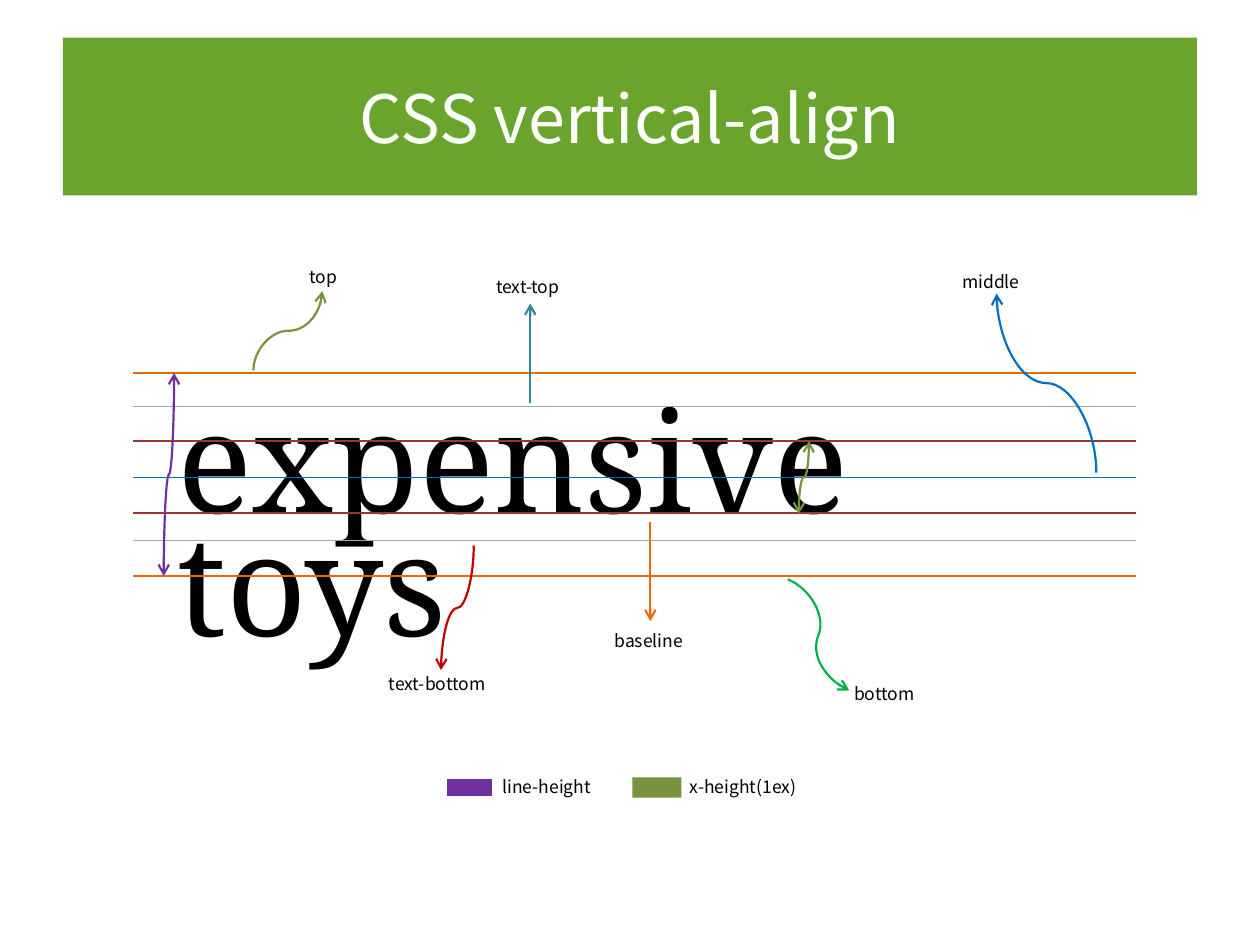
import math
from dataclasses import dataclass

from lxml import etree
from pptx import Presentation
from pptx import util as u
from pptx.dml import color
from pptx.enum import shapes, text
from pptx.oxml import ns

COLORS = {
    "banner": "6BA42C", "white": "FFFFFF", "black": "000000",
    "orange": "E46C0A", "grey": "A6A6A6", "blue": "0070C0",
    "maroon": "953735", "olive": "77933C", "green": "00B050",
    "red": "C00000", "teal": "31859C", "purple": "7030A0",
}
SANS, SERIF = "Noto Sans CJK SC", "Noto Serif"
LABEL_HEIGHT = 0.69
GUIDE_LEFT, GUIDE_RIGHT = 2.69, 22.91


@dataclass
class Guide:
    y: float
    hue: str


@dataclass
class Label:
    words: str
    left: float
    top: float
    width: float


@dataclass
class Arrow:
    start: tuple[float, float]
    end: tuple[float, float]
    hue: str
    turn: int = 0  # degrees; 0 means a straight arrow
    both_ends: bool = False


@dataclass
class LegendEntry:
    words: str
    left: float
    width: float
    hue: str
    outlined: bool = False


def rgb(hue: str) -> color.RGBColor:
    return color.RGBColor.from_string(COLORS[hue])


def add_words(paragraph, words: str, size: float, font: str, hue: str) -> None:
    run = paragraph.add_run()
    run.text = words
    run.font.size = u.Pt(size)
    run.font.name = font
    run.font.color.rgb = rgb(hue)


def add_block(parent, left: float, top: float, width: float, height: float, hue: str):
    block = parent.add_shape(shapes.MSO_SHAPE.RECTANGLE,
                             u.Cm(left), u.Cm(top), u.Cm(width), u.Cm(height))
    block.shadow.inherit = False
    block.fill.solid()
    block.fill.fore_color.rgb = rgb(hue)
    block.line.fill.background()
    return block


def add_label(parent, label: Label) -> None:
    box = parent.add_textbox(u.Cm(label.left), u.Cm(label.top),
                             u.Cm(label.width), u.Cm(LABEL_HEIGHT))
    box.text_frame.word_wrap = False
    box.text_frame.auto_size = text.MSO_AUTO_SIZE.SHAPE_TO_FIT_TEXT
    add_words(box.text_frame.paragraphs[0], label.words, 10, SANS, "black")


def add_line(parent, kind, left: float, top: float, right: float, bottom: float,
             hue: str, weight: float):
    line = parent.add_connector(kind, u.Cm(left), u.Cm(top), u.Cm(right), u.Cm(bottom))
    line.line.color.rgb = rgb(hue)
    line.line.width = u.Pt(weight)
    etree.SubElement(line._element.spPr, ns.qn("a:effectLst"))
    return line


def add_arrow(parent, arrow: Arrow) -> None:
    (x1, y1), (x2, y2) = arrow.start, arrow.end
    # Span of the arrow, measured along its own turned axes
    angle = math.radians(arrow.turn)
    along = (x2 - x1) * math.cos(angle) + (y2 - y1) * math.sin(angle)
    across = (y2 - y1) * math.cos(angle) - (x2 - x1) * math.sin(angle)
    mid_x, mid_y = (x1 + x2) / 2, (y1 + y2) / 2
    half_w, half_h = abs(along) / 2, abs(across) / 2
    kind = shapes.MSO_CONNECTOR.CURVE if arrow.turn else shapes.MSO_CONNECTOR.STRAIGHT
    line = add_line(parent, kind, mid_x - half_w, mid_y - half_h,
                    mid_x + half_w, mid_y + half_h, arrow.hue, 1.25)
    frame = line._element.spPr.find(ns.qn("a:xfrm"))
    if arrow.turn:
        frame.set("rot", str(arrow.turn * 60000))
    for flip, span in (("flipH", along), ("flipV", across)):
        if span < -0.001:
            frame.set(flip, "1")
    stroke = line._element.spPr.find(ns.qn("a:ln"))
    for end in ("a:headEnd", "a:tailEnd") if arrow.both_ends else ("a:tailEnd",):
        etree.SubElement(stroke, ns.qn(end)).set("type", "arrow")


GUIDES = [
    Guide(7.52, "orange"), Guide(8.2, "grey"), Guide(8.89, "maroon"),
    Guide(9.63, "blue"), Guide(10.34, "maroon"), Guide(10.9, "grey"),
    Guide(11.61, "orange"),
]
LABELS = [
    Label("top", 5.99, 5.23, 1.09), Label("text-top", 9.75, 5.44, 1.9),
    Label("middle", 19.15, 5.33, 1.68), Label("baseline", 12.14, 12.57, 1.9),
    Label("text-bottom", 7.59, 13.44, 2.67), Label("bottom", 16.97, 13.64, 1.8),
]
ARROWS = [
    Arrow((22.1, 9.53), (20.09, 5.92), "blue", 270),
    Arrow((15.88, 11.68), (17.12, 13.92), "green", 22),
    Arrow((5.11, 7.47), (6.5, 5.87), "olive", 90),
    Arrow((9.55, 11), (8.89, 13.51), "red", 90),
    Arrow((10.69, 8.13), (10.69, 6.12), "teal"),
    Arrow((13.11, 10.52), (13.11, 12.52), "orange"),
    Arrow((3.51, 7.52), (3.3, 11.61), "purple", 90, both_ends=True),
    Arrow((16.31, 8.89), (16.1, 10.36), "olive", 90, both_ends=True),
]
LEGEND = [
    LegendEntry("line-height", 8.97, 2.46, "purple", outlined=True),
    LegendEntry("x-height(1ex)", 12.75, 2.77, "olive"),
]

deck = Presentation()
deck.slide_width, deck.slide_height = u.Cm(25.4), u.Cm(19.05)
slide = deck.slides.add_slide(deck.slide_layouts[6])

# Title banner
banner = add_block(slide.shapes, 1.27, 0.76, 22.86, 3.18, "banner")
banner.text_frame.vertical_anchor = text.MSO_ANCHOR.MIDDLE
heading = banner.text_frame.paragraphs[0]
heading.alignment = text.PP_ALIGN.CENTER
add_words(heading, "CSS vertical-align", 38, SANS, "white")

# Sample words
sample = slide.shapes.add_textbox(u.Cm(3.33), u.Cm(8.33), u.Cm(18.72), u.Cm(2.79))
sample.text_frame.word_wrap = True
sample_line = sample.text_frame.paragraphs[0]
sample_line.line_spacing = u.Pt(70)
add_words(sample_line, "expensive toys", 80, SERIF, "black")

# Guide lines, then arrows and their labels
for guide in GUIDES:
    add_line(slide.shapes, shapes.MSO_CONNECTOR.STRAIGHT,
             GUIDE_LEFT, guide.y, GUIDE_RIGHT, guide.y, guide.hue, 0.75)
for arrow in ARROWS:
    add_arrow(slide.shapes, arrow)
for label in LABELS:
    add_label(slide.shapes, label)

# Legend
legend = slide.shapes.add_group_shape()
for entry in LEGEND:
    swatch = add_block(legend.shapes, entry.left, 15.67, 0.99, 0.41, entry.hue)
    if entry.outlined:
        swatch.line.color.rgb = rgb("white")
        swatch.line.width = u.Pt(2)
    add_label(legend.shapes, Label(entry.words, entry.left + 0.91, 15.52, entry.width))

deck.save("out.pptx")
